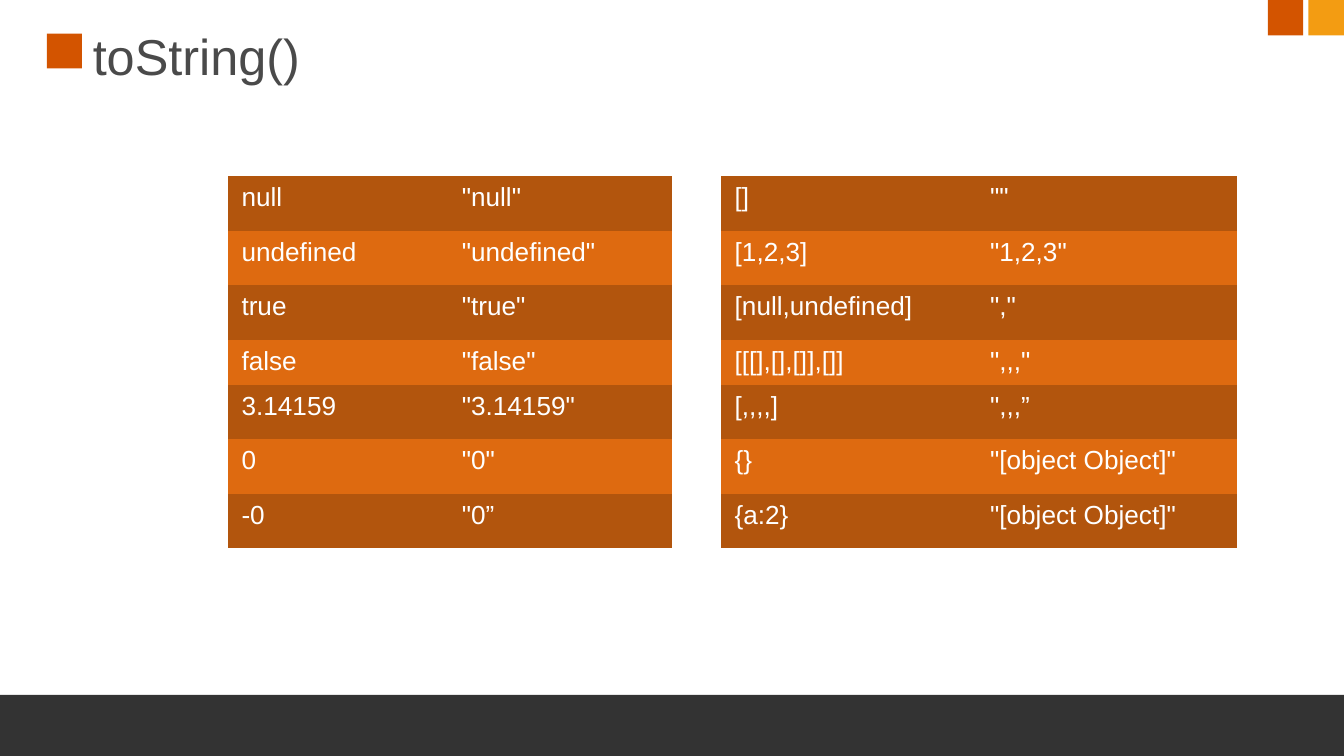
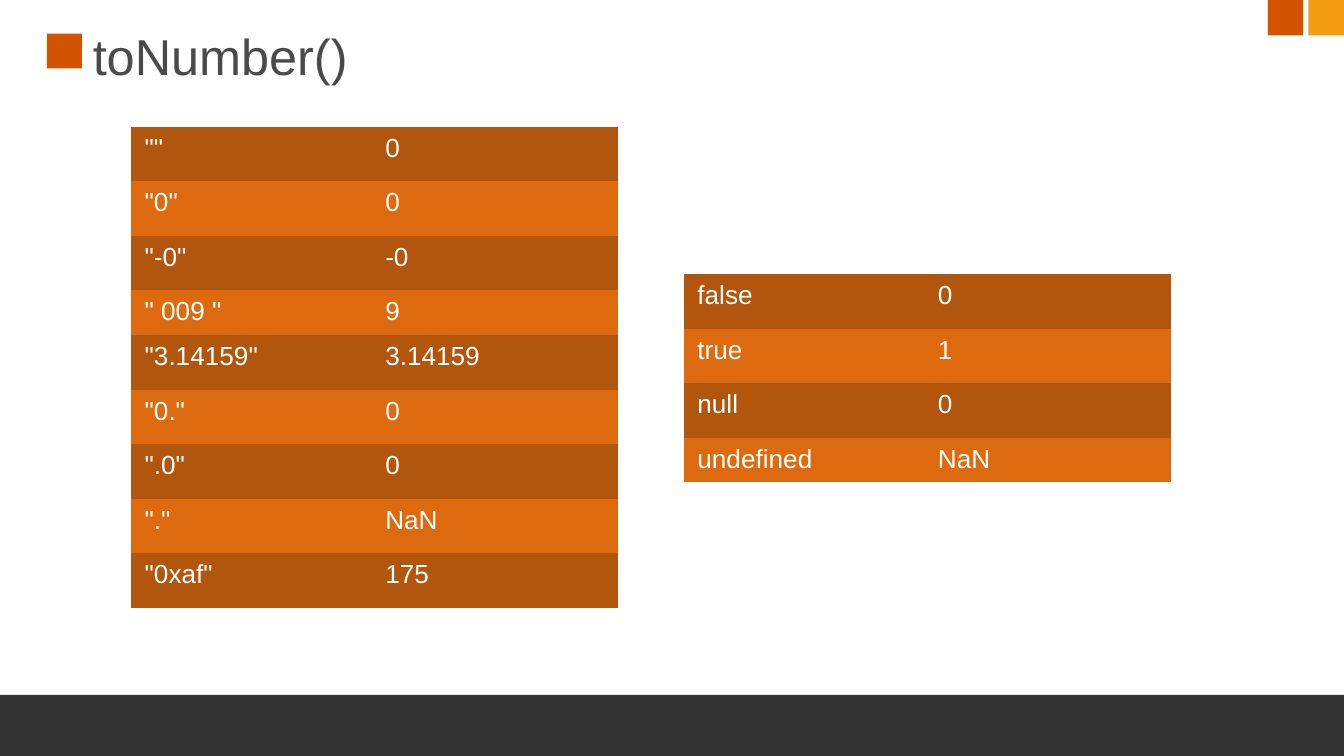
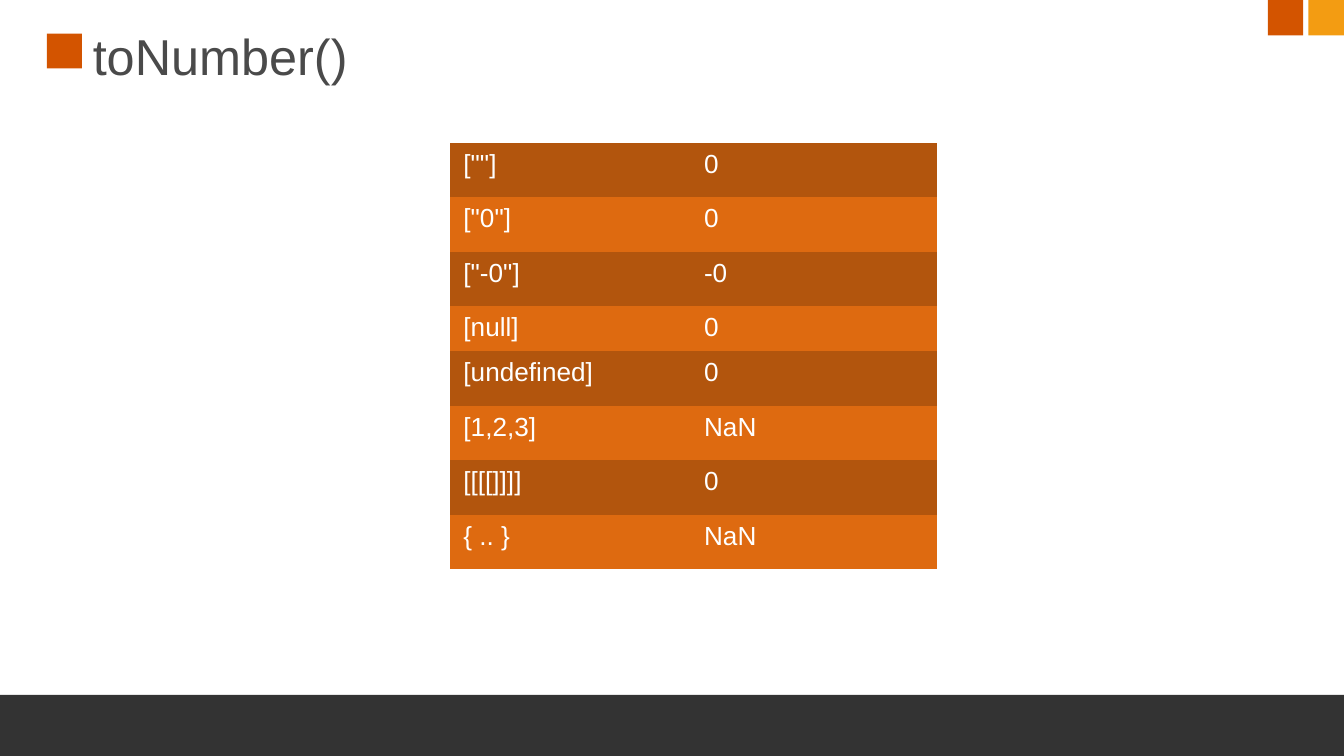
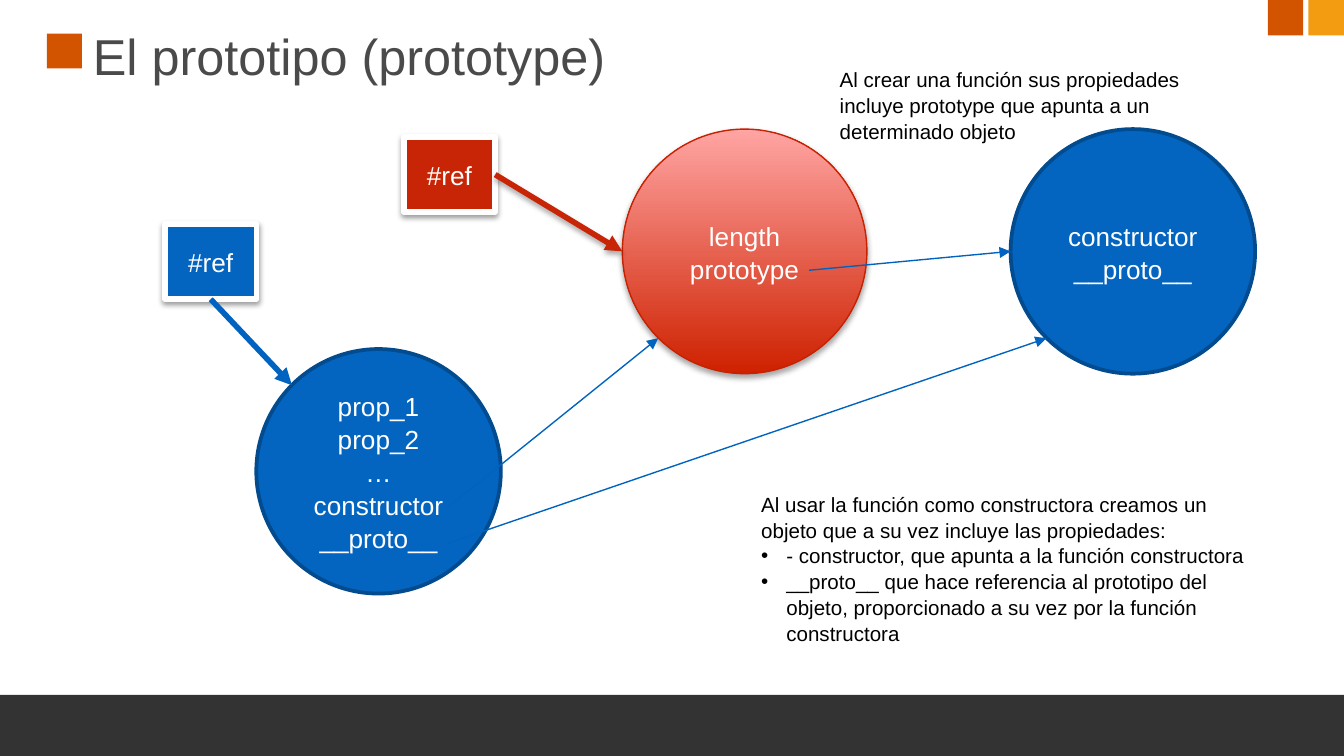
from lxml import etree
from pptx import Presentation
from pptx.dml.color import RGBColor
from pptx.enum.shapes import MSO_CONNECTOR, MSO_SHAPE
from pptx.enum.text import MSO_ANCHOR, MSO_AUTO_SIZE, PP_ALIGN
from pptx.oxml.ns import qn
from pptx.util import Pt

RECT, OVAL = MSO_SHAPE.RECTANGLE, MSO_SHAPE.OVAL
STRAIGHT = MSO_CONNECTOR.STRAIGHT
TOP, MIDDLE = MSO_ANCHOR.TOP, MSO_ANCHOR.MIDDLE
LEFT, CENTER = PP_ALIGN.LEFT, PP_ALIGN.CENTER
FIT_TEXT = MSO_AUTO_SIZE.SHAPE_TO_FIT_TEXT

FONT = "Arial"
WHITE, BLACK = "FFFFFF", "000000"
TITLE_GREY, FOOTER_GREY = "4A4A4A", "333333"
ORANGE, AMBER = "D35400", "F39C12"
ROW_COLOURS = ("B2550D", "DE6A10")
BLUE, BLUE_EDGE, BLUE_ARROW = "0365C0", "024B8E", "0063BF"
RED, RED_EDGE = "C82506", "C82101"
RED_GRADIENT = ("CE2100", "FFA5A3")

PLAIN_TABLE = "{2D5ABB26-0587-4C30-8999-92F81FD0307C}"
ROW_HEIGHT, SHORT_ROW, SHORT_ROW_SHOWN = 29.2, 3, 23.3
CIRCLE = 131
BOX = (49, 40.3)
DIAGRAM_SPACING = 1.05

STRING_PRIMITIVES = [
    ("null", '"null"'), ("undefined", '"undefined"'), ("true", '"true"'),
    ("false", '"false"'), ("3.14159", '"3.14159"'), ("0", '"0"'), ("-0", '"0”'),
]
STRING_OBJECTS = [
    ("[]", '""'), ("[1,2,3]", '"1,2,3"'), ("[null,undefined]", '","'),
    ("[[[],[],[]],[]]", '",,,"'), ("[,,,,]", '",,,”'),
    ("{}", '"[object Object]"'), ("{a:2}", '"[object Object]"'),
]
NUMBER_STRINGS = [
    ('""', "0"), ('"0"', "0"), ('"-0"', "-0"), ('" 009 "', "9"),
    ('"3.14159"', "3.14159"), ('"0."', "0"), ('".0"', "0"), ('"."', "NaN"),
    ('"0xaf"', "175"),
]
NUMBER_PRIMITIVES = [("false", "0"), ("true", "1"), ("null", "0"), ("undefined", "NaN")]
NUMBER_OBJECTS = [
    ('[""]', "0"), ('["0"]', "0"), ('["-0"]', "-0"), ("[null]", "0"),
    ("[undefined]", "0"), ("[1,2,3]", "NaN"), ("[[[[]]]]", "0"), ("{ .. }", "NaN"),
]
NUMBER_COLUMNS = (128.9, 131.8)


def colour(hex_code):
    """Turn a hex string into a colour."""
    return RGBColor.from_string(hex_code)


def add_bullet(paragraph, hex_code, indent=13.5):
    """Give a paragraph a hanging round bullet."""
    props = paragraph._p.get_or_add_pPr()
    props.set("marL", str(Pt(indent)))
    props.set("indent", str(-Pt(indent)))
    tint = etree.SubElement(props, qn("a:buClr"))
    etree.SubElement(tint, qn("a:srgbClr"), val=hex_code)
    etree.SubElement(props, qn("a:buFont"), typeface=FONT)
    etree.SubElement(props, qn("a:buChar"), char="•")


def write(frame, text, size=14, tint=WHITE, align=LEFT, anchor=TOP, spacing=None, bullets_from=None):
    """Write one paragraph per line of text in a single format."""
    frame.word_wrap = True
    frame.vertical_anchor = anchor
    for index, line in enumerate(text.split("\n")):
        paragraph = frame.add_paragraph() if index else frame.paragraphs[0]
        if bullets_from is not None and index >= bullets_from:
            add_bullet(paragraph, tint)
        paragraph.alignment = align
        if spacing:
            paragraph.line_spacing = spacing
        run = paragraph.add_run()
        run.text = line
        run.font.name = FONT
        run.font.size = Pt(size)
        run.font.color.rgb = colour(tint)


def add_shadow(element, alpha=38, distance=1.6):
    """Set a soft black shadow falling straight down."""
    props = element.spPr
    effects = props.find(qn("a:effectLst"))
    if effects is None:
        effects = etree.SubElement(props, qn("a:effectLst"))
    shadow = etree.SubElement(effects, qn("a:outerShdw"), blurRad=str(Pt(3.1)),
                              dist=str(Pt(distance)), dir="5400000", rotWithShape="0")
    black = etree.SubElement(shadow, qn("a:srgbClr"), val=BLACK)
    etree.SubElement(black, qn("a:alpha"), val=str(alpha * 1000))


def add_figure(slide, kind, left, top, width, height, fill, edge=None, edge_width=1):
    """Add a preset shape; a pair of colours as fill runs from bottom to top."""
    figure = slide.shapes.add_shape(kind, Pt(left), Pt(top), Pt(width), Pt(height))
    figure.shadow.inherit = False
    if isinstance(fill, tuple):
        figure.fill.gradient()
        figure.fill.gradient_angle = 90
        for stop, tint in zip(figure.fill.gradient_stops, fill):
            stop.color.rgb = colour(tint)
    else:
        figure.fill.solid()
        figure.fill.fore_color.rgb = colour(fill)
    if edge:
        figure.line.color.rgb = colour(edge)
        figure.line.width = Pt(edge_width)
    else:
        figure.line.fill.background()
    return figure


def add_reference(slide, left, top, fill):
    """Add a white-framed box that stands for a reference."""
    box = add_figure(slide, RECT, left, top, *BOX, fill, WHITE, 3)
    add_shadow(box._element)
    write(box.text_frame, "#ref", align=CENTER, anchor=MIDDLE)
    return box


def add_object(slide, left, top, members, fill=BLUE, edge=BLUE_EDGE, edge_width=2):
    """Add a circle that lists the members of an object."""
    circle = add_figure(slide, OVAL, left, top, CIRCLE, CIRCLE, fill, edge, edge_width)
    write(circle.text_frame, members, align=CENTER, anchor=MIDDLE, spacing=DIAGRAM_SPACING)
    return circle


def add_arrow(slide, start, end, tint=BLUE_ARROW, width=0.75):
    """Add a straight arrow between two points."""
    arrow = slide.shapes.add_connector(STRAIGHT, *map(Pt, start + end))
    arrow.line.color.rgb = colour(tint)
    arrow.line.width = Pt(width)
    etree.SubElement(arrow.line._get_or_add_ln(), qn("a:tailEnd"), type="triangle")
    etree.SubElement(arrow._element.spPr, qn("a:effectLst"))
    return arrow


def add_note(slide, left, top, width, height, text, **text_format):
    """Add a small explanatory text box."""
    note = slide.shapes.add_textbox(Pt(left), Pt(top), Pt(width), Pt(height))
    write(note.text_frame, text, size=11, tint=BLACK, spacing=DIAGRAM_SPACING, **text_format)
    note.text_frame.auto_size = FIT_TEXT


def add_conversions(slide, left, top, columns, conversions):
    """Add a striped table of values and their conversions."""
    height = ROW_HEIGHT * (len(conversions) - 1) + SHORT_ROW_SHOWN
    frame = slide.shapes.add_table(len(conversions), len(columns), Pt(left), Pt(top),
                                   Pt(sum(columns)), Pt(height))
    table = frame.table
    table.first_row = table.horz_banding = False
    table._tbl.tblPr.find(qn("a:tableStyleId")).text = PLAIN_TABLE
    for column, width in zip(table.columns, columns):
        column.width = Pt(width)
    for index, values in enumerate(conversions):
        table.rows[index].height = Pt(0 if index == SHORT_ROW else ROW_HEIGHT)
        for cell, value in zip(table.rows[index].cells, values):
            cell.fill.solid()
            cell.fill.fore_color.rgb = colour(ROW_COLOURS[index % 2])
            write(cell.text_frame, value)
    frame.height = Pt(height)


def add_slide(deck, title):
    """Add a slide with the shared squares, footer band and title."""
    slide = deck.slides.add_slide(deck.slide_layouts[6])
    add_figure(slide, RECT, 25.2, 18, 18.7, 18.7, ORANGE)
    add_figure(slide, RECT, -2, 372.3, 724, 33, FOOTER_GREY)
    for left, tint in ((679.2, ORANGE), (701, AMBER)):
        add_figure(slide, RECT, left, 0, 19, 19, tint)
    heading = slide.shapes.add_textbox(Pt(45.4), Pt(8.6), Pt(617), Pt(42.5)).text_frame
    heading.margin_left = heading.margin_right = Pt(4.3)
    heading.margin_top = heading.margin_bottom = Pt(4.3)
    write(heading, title, size=27, tint=TITLE_GREY, anchor=MIDDLE)
    return slide


def add_prototype_diagram(slide):
    """Draw the instance, its constructor function and the prototype."""
    instance_ref = add_reference(slide, 88.4, 120, BLUE)
    add_object(slide, 137.3, 187, "prop_1\nprop_2\n…\nconstructor\n__proto__")
    to_instance = add_arrow(slide, (113, 160.3), (156.4, 206.4), width=3)
    to_instance.begin_connect(instance_ref, 2)

    function_ref = add_reference(slide, 216.3, 73.4, RED)
    function = add_object(slide, 333.4, 69.2, "length\nprototype", RED_GRADIENT, RED_EDGE, 0.75)
    add_shadow(function._element, 35, 1.8)
    add_object(slide, 541.4, 69.2, "constructor\n__proto__")
    to_function = add_arrow(slide, (265.3, 93.6), (333.4, 134.7), RED, 3)
    to_function.begin_connect(function_ref, 3)
    add_shadow(to_function._element, 35, 1.8)

    for start, end in (
        ((240.5, 271.4), (352.6, 181.2)),
        ((433.4, 144.8), (541.4, 134.7)),
        ((240.5, 290.9), (560.6, 181.2)),
    ):
        add_arrow(slide, start, end)

    add_note(slide, 442.8, 31.7, 198.7, 47.5,
             "Al crear una función sus propiedades incluye prototype que apunta "
             "a un determinado objeto")
    add_note(slide, 400.7, 259.2, 275.8, 87.1,
             "Al usar la función como constructora creamos un objeto que a su vez "
             "incluye las propiedades:\n"
             "- constructor, que apunta a la función constructora\n"
             "__proto__ que hace referencia al prototipo del objeto, proporcionado "
             "a su vez por la función constructora", bullets_from=1)


def main():
    """Build and save the four slides."""
    deck = Presentation()
    deck.slide_width, deck.slide_height = Pt(720), Pt(405)

    to_string = add_slide(deck, "toString()")
    add_conversions(to_string, 122.2, 94.4, (118, 120), STRING_PRIMITIVES)
    add_conversions(to_string, 386.4, 94.4, (136.8, 139.7), STRING_OBJECTS)

    to_number = add_slide(deck, "toNumber()")
    add_conversions(to_number, 70.3, 67.9, NUMBER_COLUMNS, NUMBER_STRINGS)
    add_conversions(to_number, 366.4, 146.8, NUMBER_COLUMNS, NUMBER_PRIMITIVES)

    to_number_objects = add_slide(deck, "toNumber()")
    add_conversions(to_number_objects, 241.1, 76.5, NUMBER_COLUMNS, NUMBER_OBJECTS)

    add_prototype_diagram(add_slide(deck, "El prototipo (prototype)"))
    deck.save("out.pptx")


if __name__ == "__main__":
    main()
